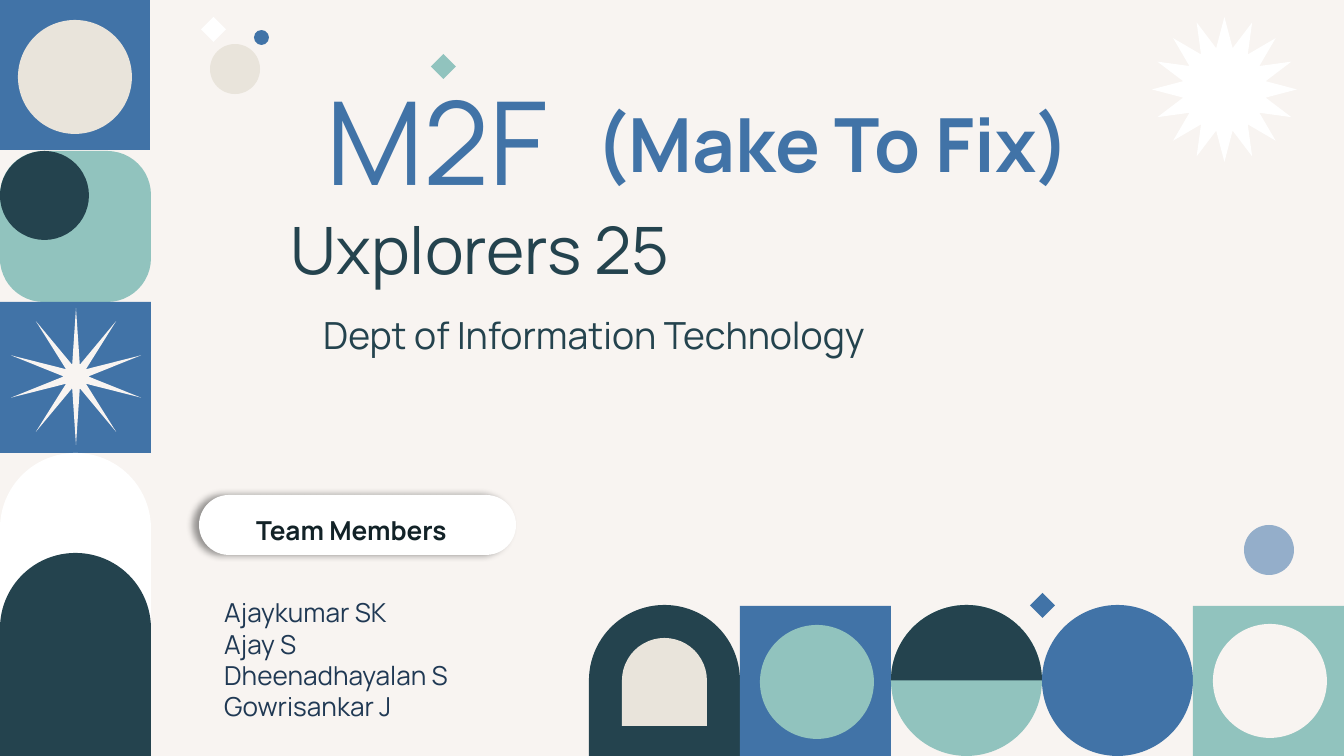
from dataclasses import dataclass

from lxml import etree
from pptx import Presentation
from pptx.dml.color import RGBColor
from pptx.enum.shapes import MSO_SHAPE as Preset
from pptx.enum.text import MSO_ANCHOR as Anchor, PP_ALIGN as Align
from pptx.oxml.ns import qn
from pptx.util import Emu, Pt

EMU_PER_PX = 914400 / 134.4
WIDTH, HEIGHT = 1344, 756

CREAM, SAND, WHITE = "F8F4F1", "E9E4DB", "FFFFFF"
BLUE, SKY, TEAL, DARK = "4173A7", "94AECA", "91C3BE", "24434E"
INK, NAVY = "122227", "203954"


def px(value: int) -> Emu:
    return Emu(round(value * EMU_PER_PX))


def color(value: str) -> RGBColor:
    return RGBColor.from_string(value)


@dataclass
class Figure:
    preset: Preset
    left: int
    top: int
    width: int
    height: int
    fill: str
    adjustments: tuple = ()


@dataclass
class Label:
    lines: list
    left: int
    top: int
    width: int
    height: int
    size: int
    fill: str
    bold: bool = False
    centered: bool = False
    wrap: bool = True
    spacing: float = 1.0


def circle(left: int, top: int, size: int, fill: str) -> Figure:
    return Figure(Preset.OVAL, left, top, size, size, fill)


def diamond(left: int, top: int, fill: str) -> Figure:
    return Figure(Preset.DIAMOND, left, top, 25, 25, fill)


def square(left: int, top: int, size: int, fill: str) -> Figure:
    return Figure(Preset.RECTANGLE, left, top, size, size, fill)


def arch(left: int, top: int, width: int, height: int, fill: str) -> Figure:
    return Figure(Preset.ROUND_2_SAME_RECTANGLE, left, top, width, height, fill, (0.5, 0))


TILE = 151
ROW_TOP = HEIGHT - TILE
ROW = [WIDTH - TILE * count for count in range(5, 0, -1)]

FIGURES = [
    # Small ornaments
    diamond(201, 17, WHITE),
    circle(254, 30, 15, BLUE),
    circle(210, 44, 50, SAND),
    diamond(431, 54, TEAL),
    circle(1244, 525, 50, SKY),
    Figure(Preset.STAR_16_POINT, 1152, 17, 145, 145, WHITE, (0.29,)),
    # Left column of tiles
    square(0, 0, 150, BLUE),
    circle(18, 20, 114, SAND),
    Figure(Preset.ROUNDED_RECTANGLE, 0, TILE, TILE, TILE, TEAL, (0.29,)),
    circle(0, TILE, 89, DARK),
    square(0, 2 * TILE, TILE, BLUE),
    Figure(Preset.STAR_10_POINT, 11, 308, 130, 137, CREAM, (0.09,)),
    arch(0, 3 * TILE, TILE, 211, WHITE),
    arch(0, 553, TILE, 203, DARK),
    # Bottom row of tiles
    arch(ROW[0], ROW_TOP, TILE, TILE, DARK),
    arch(622, 638, 85, 88, SAND),
    square(ROW[1], ROW_TOP + 1, TILE, BLUE),
    circle(760, 625, 114, TEAL),
    circle(ROW[2], ROW_TOP, TILE, TEAL),
    Figure(Preset.CHORD, ROW[2], ROW_TOP, TILE, TILE, DARK, (108, 0)),
    circle(ROW[3], ROW_TOP, TILE, BLUE),
    square(ROW[4], ROW_TOP + 1, TILE, TEAL),
    circle(1213, 624, 114, CREAM),
    diamond(1030, 593, BLUE),
]

PILL = Figure(Preset.ROUNDED_RECTANGLE, 199, 495, 317, 60, WHITE, (0.5,))

TITLE = Label(["M2F"], 196, 17, 482, 263, 62, BLUE, centered=True, spacing=0.9)
LABELS = [
    Label(["Team Members"], 199, 505, 305, 50, 14, INK, bold=True, centered=True),
    Label(["Uxplorers 25"], 151, 215, 659, 77, 35, DARK, centered=True, spacing=0.9),
    Label(["Ajaykumar SK", "Ajay S", "Dheenadhayalan S", "Gowrisankar J"],
          211, 590, 345, 140, 14, NAVY),
    Label(["Dept of Information Technology"], 310, 306, 914, 59, 20, DARK),
    Label(["(Make To Fix)"], 582, 91, 546, 103, 40, BLUE, bold=True, wrap=False),
]


def draw_figure(slide, figure: Figure):
    shape = slide.shapes.add_shape(
        figure.preset, px(figure.left), px(figure.top), px(figure.width), px(figure.height))
    shape.shadow.inherit = False
    shape.fill.solid()
    shape.fill.fore_color.rgb = color(figure.fill)
    shape.line.fill.background()
    for index, value in enumerate(figure.adjustments):
        shape.adjustments[index] = value
    return shape


def add_shadow(shape) -> None:
    effects = shape._element.spPr.find(qn("a:effectLst"))
    shadow = etree.SubElement(effects, qn("a:outerShdw"), blurRad=str(Pt(4)),
                              dist=str(Pt(3)), dir="10800000", rotWithShape="0")
    black = etree.SubElement(shadow, qn("a:srgbClr"), val="000000")
    etree.SubElement(black, qn("a:alpha"), val="40000")


def write_label(shape, label: Label) -> None:
    for name in ("left", "top", "width", "height"):
        setattr(shape, name, px(getattr(label, name)))
    frame = shape.text_frame
    frame.word_wrap = label.wrap
    frame.vertical_anchor = Anchor.MIDDLE if label.centered else Anchor.TOP
    if label.centered:
        for side in ("left", "top", "right", "bottom"):
            setattr(frame, f"margin_{side}", px(13))
    font_format = {"name": "Manrope", "size": Pt(label.size), "bold": label.bold}
    for index, line in enumerate(label.lines):
        paragraph = frame.add_paragraph() if index else frame.paragraphs[0]
        paragraph.alignment = Align.CENTER if label.centered else Align.LEFT
        paragraph.line_spacing = label.spacing
        run = paragraph.add_run()
        run.text = line
        for name, value in font_format.items():
            setattr(run.font, name, value)
        run.font.color.rgb = color(label.fill)


def main() -> None:
    presentation = Presentation()
    presentation.slide_width, presentation.slide_height = px(WIDTH), px(HEIGHT)
    slide = presentation.slides.add_slide(presentation.slide_layouts[5])
    slide.background.fill.solid()
    slide.background.fill.fore_color.rgb = color(CREAM)

    for figure in FIGURES:
        draw_figure(slide, figure)
    add_shadow(draw_figure(slide, PILL))

    write_label(slide.shapes.title, TITLE)
    for label in LABELS:
        write_label(slide.shapes.add_textbox(0, 0, 0, 0), label)

    presentation.save("out.pptx")


if __name__ == "__main__":
    main()
